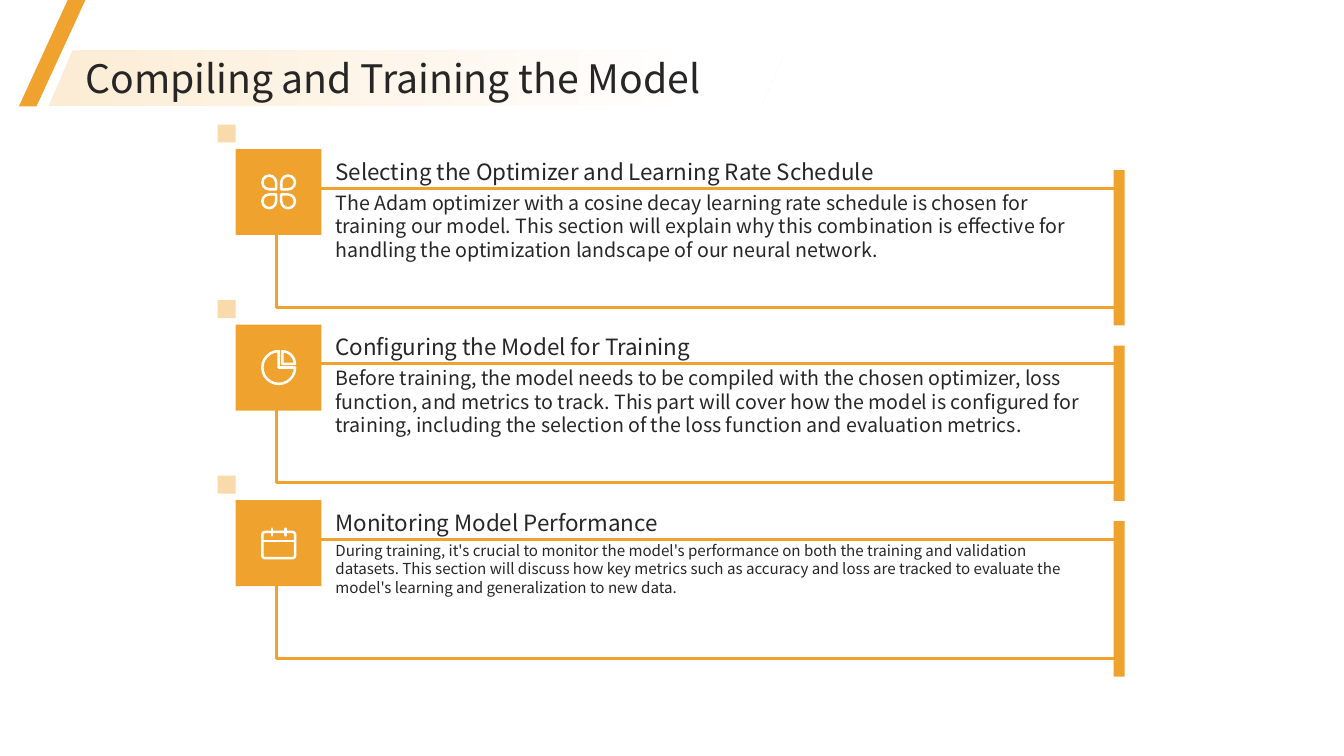
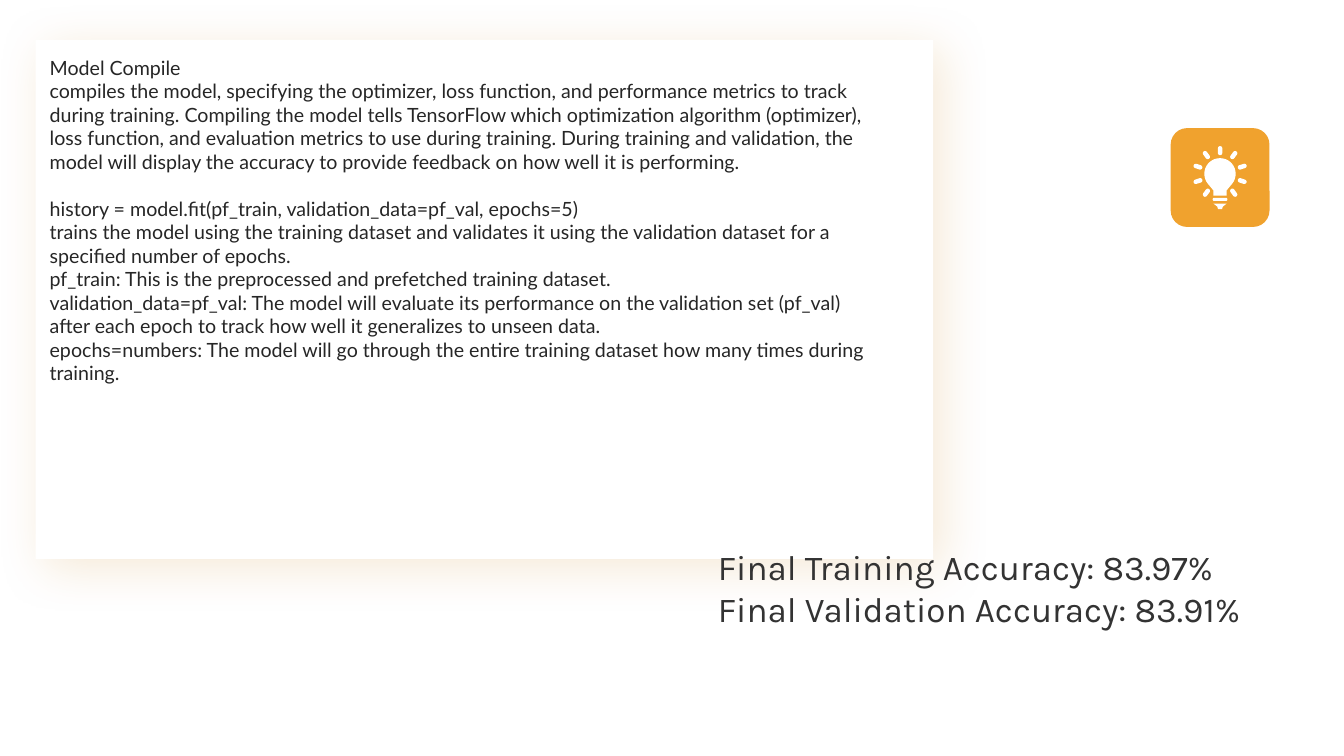
import math

import lxml.etree
import pptx
import pptx.dml.color
import pptx.enum.shapes
import pptx.enum.text
import pptx.oxml.ns
import pptx.util

Pt = pptx.util.Pt
Shape = pptx.enum.shapes.MSO_SHAPE
Anchor = pptx.enum.text.MSO_ANCHOR
qn = pptx.oxml.ns.qn

COLORS = {
    "accent": "F0A22E",
    "accent_light": "F9DAAB",
    "band": "FCECD5",
    "shadow": "C87D0E",
    "text": "262626",
    "result": "333333",
    "white": "FFFFFF",
}
RGB = {name: pptx.dml.color.RGBColor.from_string(value) for name, value in COLORS.items()}
HEADING_FONT = "Noto Sans CJK SC"


def format_shape(shape, fill=None, line=None, line_width=1.8):
    shape.shadow.inherit = False
    if fill:
        shape.fill.solid()
        shape.fill.fore_color.rgb = RGB[fill]
    else:
        shape.fill.background()
    if line:
        shape.line.color.rgb = RGB[line]
        shape.line.width = Pt(line_width)
    else:
        shape.line.fill.background()


def add_text(slide, box, text, font, color="text", anchor=Anchor.TOP):
    """Add a text box without insets and return its paragraphs, one per line of text."""
    frame = slide.shapes.add_textbox(*map(Pt, box)).text_frame
    frame_format = {
        "word_wrap": True,
        "vertical_anchor": anchor,
        "margin_left": 0,
        "margin_top": 0,
        "margin_right": 0,
        "margin_bottom": 0,
        "text": text,
    }
    for name, value in frame_format.items():
        setattr(frame, name, value)
    for paragraph in frame.paragraphs:
        for name, value in font.items():
            setattr(paragraph.font, name, value)
        paragraph.font.color.rgb = RGB[color]
    return frame.paragraphs


presentation = pptx.Presentation()
presentation.slide_width = Pt(960)
presentation.slide_height = Pt(540)
training_slide, results_slide = [
    presentation.slides.add_slide(presentation.slide_layouts[6]) for _ in range(2)
]

# Slide 1: three panels
panels = [
    (
        "Selecting the Optimizer and Learning Rate Schedule",
        "The Adam optimizer with a cosine decay learning rate schedule is chosen for "
        "training our model. This section will explain why this combination is effective "
        "for handling the optimization landscape of our neural network.",
        14,
    ),
    (
        "Configuring the Model for Training",
        "Before training, the model needs to be compiled with the chosen optimizer, loss "
        "function, and metrics to track. This part will cover how the model is configured "
        "for training, including the selection of the loss function and evaluation metrics.",
        14,
    ),
    (
        "Monitoring Model Performance",
        "During training, it's crucial to monitor the model's performance on both the "
        "training and validation datasets. This section will discuss how key metrics such "
        "as accuracy and loss are tracked to evaluate the model's learning and "
        "generalization to new data.",
        10.8,
    ),
]
PANEL_TOP, PANEL_PITCH = 106.5, 125.4
ICON_LEFT, ICON_INSET = 186.5, 18
shapes = training_slide.shapes
for index, (heading, body, body_size) in enumerate(panels):
    top = PANEL_TOP + index * PANEL_PITCH
    for left, offset, width, height, fill, line in [
        (197.3, 28, 602, 85, "white", "accent"),
        (795.4, 15, 8, 111, "accent", None),
        (168.3, 0, 61.4, 61.4, "accent", None),
        (155.5, -17.5, 12.8, 12.8, "accent_light", None),
    ]:
        rectangle = shapes.add_shape(
            Shape.RECTANGLE, Pt(left), Pt(top + offset), Pt(width), Pt(height)
        )
        format_shape(rectangle, fill, line, 2)
    add_text(training_slide, (239.6, top + 29.6, 540, 74), body,
             {"name": HEADING_FONT, "size": Pt(body_size)})
    add_text(training_slide, (239.6, top - 4, 541, 29.5), heading,
             {"name": HEADING_FONT, "size": Pt(16)}, anchor=Anchor.BOTTOM)

# Icon outlines: panel, preset, left, top, width, height, rotation, adjustments
icon_outlines = [
    (0, Shape.TEAR, 0.9, 0.9, 9.8, 9.8, 90, []),
    (0, Shape.TEAR, 14.4, 0.9, 9.8, 9.8, 180, []),
    (0, Shape.TEAR, 0.9, 14.4, 9.8, 9.8, 0, []),
    (0, Shape.TEAR, 14.4, 14.4, 9.8, 9.8, 270, []),
    (1, Shape.PIE, 0.9, 0.9, 23.4, 23.4, 0, []),
    (1, Shape.PIE, 6.1, 1, 18, 18, 0, [162, 0]),
    (2, Shape.ROUNDED_RECTANGLE, 0.9, 4.7, 23.4, 18.7, 0, [0.1]),
]
for panel, preset, left, top, width, height, rotation, adjustments in icon_outlines:
    icon_top = PANEL_TOP + panel * PANEL_PITCH + ICON_INSET
    outline = shapes.add_shape(
        preset, Pt(ICON_LEFT + left), Pt(icon_top + top), Pt(width), Pt(height)
    )
    outline.rotation = rotation
    for position, value in enumerate(adjustments):
        outline.adjustments[position] = value
    format_shape(outline, line="white")

calendar_top = PANEL_TOP + 2 * PANEL_PITCH + ICON_INSET
for x1, y1, x2, y2 in [(0.9, 11.2, 24.3, 11.2), (7.9, 2.3, 7.9, 7.2), (17.3, 2.3, 17.3, 7.2)]:
    stroke = shapes.add_connector(
        pptx.enum.shapes.MSO_CONNECTOR.STRAIGHT,
        Pt(ICON_LEFT + x1), Pt(calendar_top + y1), Pt(ICON_LEFT + x2), Pt(calendar_top + y2),
    )
    stroke.line.color.rgb = RGB["white"]
    stroke.line.width = Pt(1.8)
    properties = stroke._element.spPr
    properties.find(qn("a:ln")).set("cap", "rnd")
    lxml.etree.SubElement(properties, qn("a:effectLst"))

# Slide 1: title band
band = shapes.add_shape(Shape.PARALLELOGRAM, Pt(34.6), Pt(36), Pt(526.3), Pt(40))
band.adjustments[0] = 0.43
format_shape(band)
band.fill.gradient()
band.fill.gradient_angle = 0
for stop, position, color in zip(band.fill.gradient_stops, (0, 0.89), ("band", "white")):
    stop.position = position
    stop.color.rgb = RGB[color]
add_text(training_slide, (61, 37.4, 846, 36.7), "Compiling and Training the Model",
         {"name": HEADING_FONT, "size": Pt(28)}, anchor=Anchor.MIDDLE)
slash = shapes.add_shape(Shape.PARALLELOGRAM, Pt(13.5), 0, Pt(47.5), Pt(76))
slash.adjustments[0] = 0.735
format_shape(slash, "accent")

# Slide 2: explanation card
shapes = results_slide.shapes
card = shapes.add_shape(Shape.RECTANGLE, Pt(25.5), Pt(28.4), Pt(641), Pt(370.8))
format_shape(card, "white")
effects = card._element.spPr.find(qn("a:effectLst"))
shadow = lxml.etree.SubElement(
    effects, qn("a:outerShdw"), blurRad=str(Pt(35)), dist=str(Pt(10)),
    dir=str(45 * 60000), algn="ctr", rotWithShape="0",
)
shadow_color = lxml.etree.SubElement(shadow, qn("a:srgbClr"), val=COLORS["shadow"])
lxml.etree.SubElement(shadow_color, qn("a:alpha"), val="16000")

explanation = [
    "Model Compile",
    "compiles the model, specifying the optimizer, loss function, and performance metrics to "
    "track during training. Compiling the model tells TensorFlow which optimization algorithm "
    "(optimizer), loss function, and evaluation metrics to use during training. During training "
    "and validation, the model will display the accuracy to provide feedback on how well it is "
    "performing.",
    "history = model.fit(pf_train, validation_data=pf_val, epochs=5)",
    "trains the model using the training dataset and validates it using the validation dataset "
    "for a specified number of epochs.",
    "pf_train: This is the preprocessed and prefetched training dataset.",
    "validation_data=pf_val: The model will evaluate its performance on the validation set "
    "(pf_val) after each epoch to track how well it generalizes to unseen data.",
    "epochs=numbers: The model will go through the entire training dataset how many times "
    "during training.",
]
paragraphs = add_text(results_slide, (35.5, 39.6, 587.5, 245), "\n".join(explanation),
                      {"name": "Lato", "size": Pt(14)})
paragraphs[2].space_before = Pt(16.8)

# Slide 2: light bulb badge
badge = shapes.add_shape(Shape.ROUNDED_RECTANGLE, Pt(836.2), Pt(91.5), Pt(70.6), Pt(70.6))
format_shape(badge, "accent")
BULB_X, BULB_Y, BULB_RADIUS = 871.5, 124.2, 11.2
glass = [
    (BULB_RADIUS * math.cos(math.radians(angle)), BULB_RADIUS * math.sin(math.radians(angle)))
    for angle in range(140, 401, 10)
]
neck = [(4.7, 11.9), (4.7, 15.5), (-4.7, 15.5), (-4.7, 11.9)]
cap = [(-4.7, 21.2), (4.7, 21.2), (2, 23.4), (1.4, 25.2), (-1.4, 25.2), (-2, 23.4)]
for outline in (glass + neck, cap):
    points = [(Pt(BULB_X + x), Pt(BULB_Y + y)) for x, y in outline]
    builder = shapes.build_freeform(*points[0])
    builder.add_line_segments(points[1:], close=True)
    format_shape(builder.convert_to_shape(), "white")

# Rounded bars of the bulb: centre x, centre y, width, height, rotation
bulb_bars = [(0, 18.2, 10.6, 2.3, 0)]
for angle in range(-144, 145, 36):
    radians = math.radians(angle)
    bulb_bars.append((16.6 * math.sin(radians), -16.6 * math.cos(radians), 3.2, 6.5, angle))
for x, y, width, height, rotation in bulb_bars:
    bar = shapes.add_shape(
        Shape.ROUNDED_RECTANGLE, Pt(BULB_X + x - width / 2), Pt(BULB_Y + y - height / 2),
        Pt(width), Pt(height),
    )
    bar.adjustments[0] = 0.5
    bar.rotation = rotation
    format_shape(bar, "white")

add_text(results_slide, (512.8, 389.6, 432, 60),
         "Final Training Accuracy: 83.97%\nFinal Validation Accuracy: 83.91%",
         {"name": "Karla", "size": Pt(25)}, "result")

presentation.save("out.pptx")
